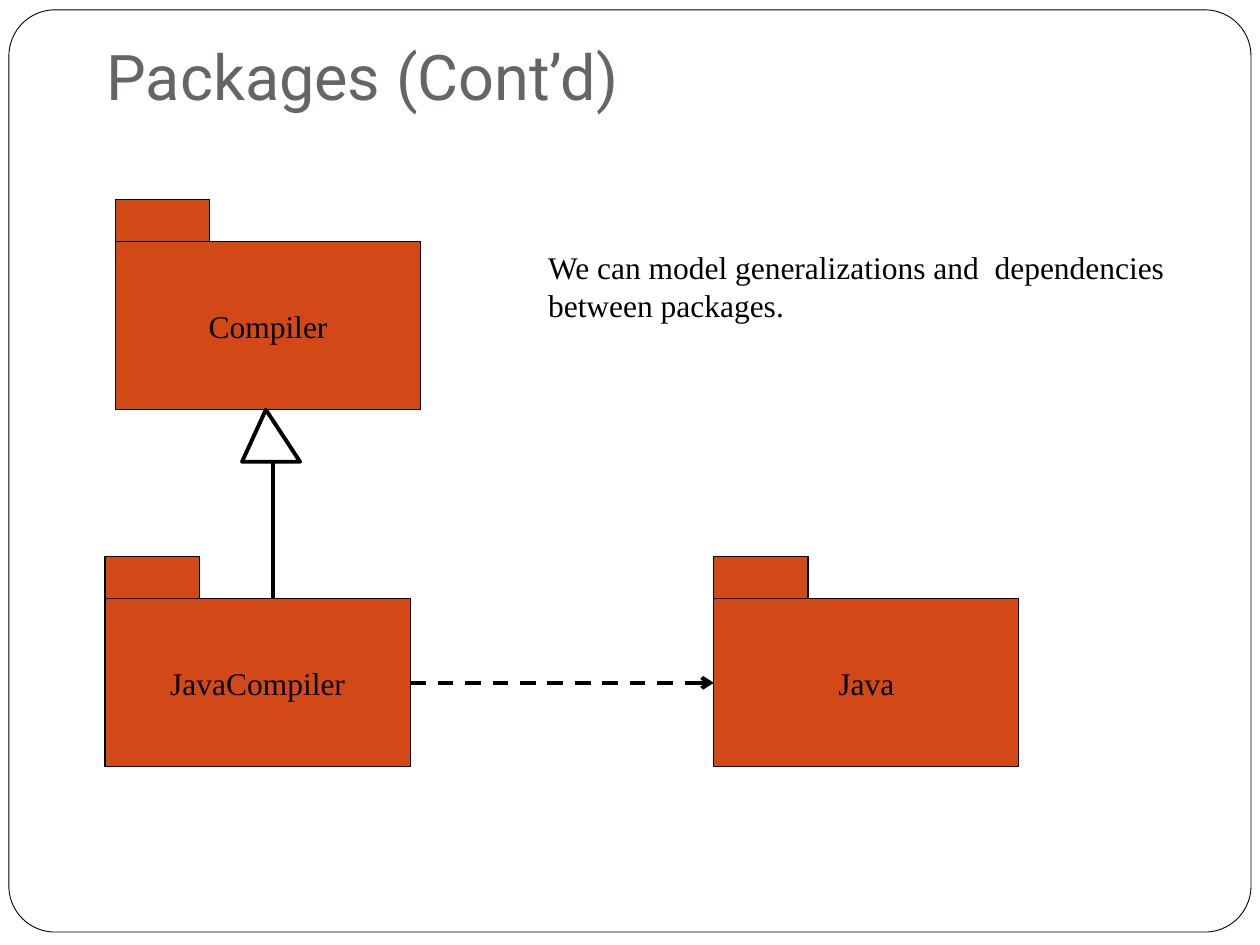
from lxml import etree
from pptx import Presentation
from pptx import util as u
from pptx.dml.color import RGBColor
from pptx.enum import dml, shapes, text
from pptx.oxml.ns import qn

COLORS = {"paper": "FFFFFF", "ink": "000000", "title": "696464", "package": "D34817"}
BODY_FONT = "Times New Roman"
BODY_WIDTH, BODY_HEIGHT = 6.15, 3.39
TAB_WIDTH, TAB_HEIGHT = 1.9, 0.85


def color(name):
    return RGBColor.from_string(COLORS[name])


def style_shape(shape, fill, line_width):
    shape.shadow.inherit = False
    shape.fill.solid()
    shape.fill.fore_color.rgb = color(fill)
    shape.line.color.rgb = color("ink")
    shape.line.width = u.Pt(line_width)


def write(frame, content, font, size, ink="ink"):
    frame.text = content
    run_font = frame.paragraphs[0].runs[0].font
    run_font.name = font
    run_font.size = u.Pt(size)
    run_font.color.rgb = color(ink)


def add_box(container, kind, left, top, width, height, fill, line_width):
    shape = container.add_shape(kind, u.Cm(left), u.Cm(top), u.Cm(width), u.Cm(height))
    style_shape(shape, fill, line_width)
    return shape


def add_text(slide, content, left, top, width, height, font, size, ink="ink"):
    box = slide.shapes.add_textbox(u.Cm(left), u.Cm(top), u.Cm(width), u.Cm(height))
    box.text_frame.word_wrap = True
    write(box.text_frame, content, font, size, ink)
    return box


def add_package(slide, name, left, top):
    group = slide.shapes.add_group_shape()
    rectangle = shapes.MSO_SHAPE.RECTANGLE
    body = add_box(group.shapes, rectangle, left, top + TAB_HEIGHT,
                   BODY_WIDTH, BODY_HEIGHT, "package", 0.75)
    add_box(group.shapes, rectangle, left, top, TAB_WIDTH, TAB_HEIGHT, "package", 0.75)
    frame = body.text_frame
    frame.word_wrap = False
    frame.vertical_anchor = text.MSO_ANCHOR.MIDDLE
    write(frame, name, BODY_FONT, 18)
    frame.paragraphs[0].alignment = text.PP_ALIGN.CENTER
    return body


def add_line(container, start, end):
    points = [u.Cm(value) for value in (*start, *end)]
    line = container.add_connector(shapes.MSO_CONNECTOR.STRAIGHT, *points)
    line.line.color.rgb = color("ink")
    line.line.width = u.Pt(2.25)
    etree.SubElement(line._element.spPr, qn("a:effectLst"))
    return line


def add_generalization(slide, tip, base_left, base_right, stem_x, base_y, end_y):
    group = slide.shapes.add_group_shape()
    add_line(group.shapes, (stem_x, base_y), (stem_x, end_y))
    builder = group.shapes.build_freeform(u.Cm(tip[0]), u.Cm(tip[1]))
    corners = [(u.Cm(x), u.Cm(base_y)) for x in (base_left, base_right)]
    builder.add_line_segments(corners, close=True)
    style_shape(builder.convert_to_shape(), "paper", 2.25)


def add_dependency(slide, source, target):
    line = add_line(slide.shapes, (0, 0), (1, 1))
    line.begin_connect(source, 3)
    line.end_connect(target, 1)
    line.line.dash_style = dml.MSO_LINE.DASH
    etree.SubElement(line.line._get_or_add_ln(), qn("a:tailEnd"), type="arrow")


def main():
    presentation = Presentation()
    presentation.slide_width = u.Cm(25.4)
    presentation.slide_height = u.Cm(19.05)
    slide = presentation.slides.add_slide(presentation.slide_layouts[6])

    frame = add_box(slide.shapes, shapes.MSO_SHAPE.ROUNDED_RECTANGLE,
                    0.18, 0.2, 25.04, 18.59, "paper", 0.5)
    frame.adjustments[0] = 0.05

    title = add_text(slide, "Packages (Cont’d)", 1.9, 1.06, 21.8, 1.48,
                     "Roboto", 36, "title")
    title.text_frame.vertical_anchor = text.MSO_ANCHOR.BOTTOM
    title.text_frame.margin_bottom = u.Cm(0.25)

    add_text(slide, "We can model generalizations and  dependencies between packages.",
             10.8, 4.87, 13.55, 2.29, BODY_FONT, 18)

    add_package(slide, "Compiler", 2.33, 4.02)
    java_compiler = add_package(slide, "JavaCompiler", 2.12, 11.22)
    java = add_package(slide, "Java", 14.39, 11.22)

    add_generalization(slide, tip=(5.36, 8.26), base_left=4.88, base_right=6.05,
                       stem_x=5.5, base_y=9.31, end_y=12.07)
    add_dependency(slide, java_compiler, java)

    presentation.save("out.pptx")


if __name__ == "__main__":
    main()
